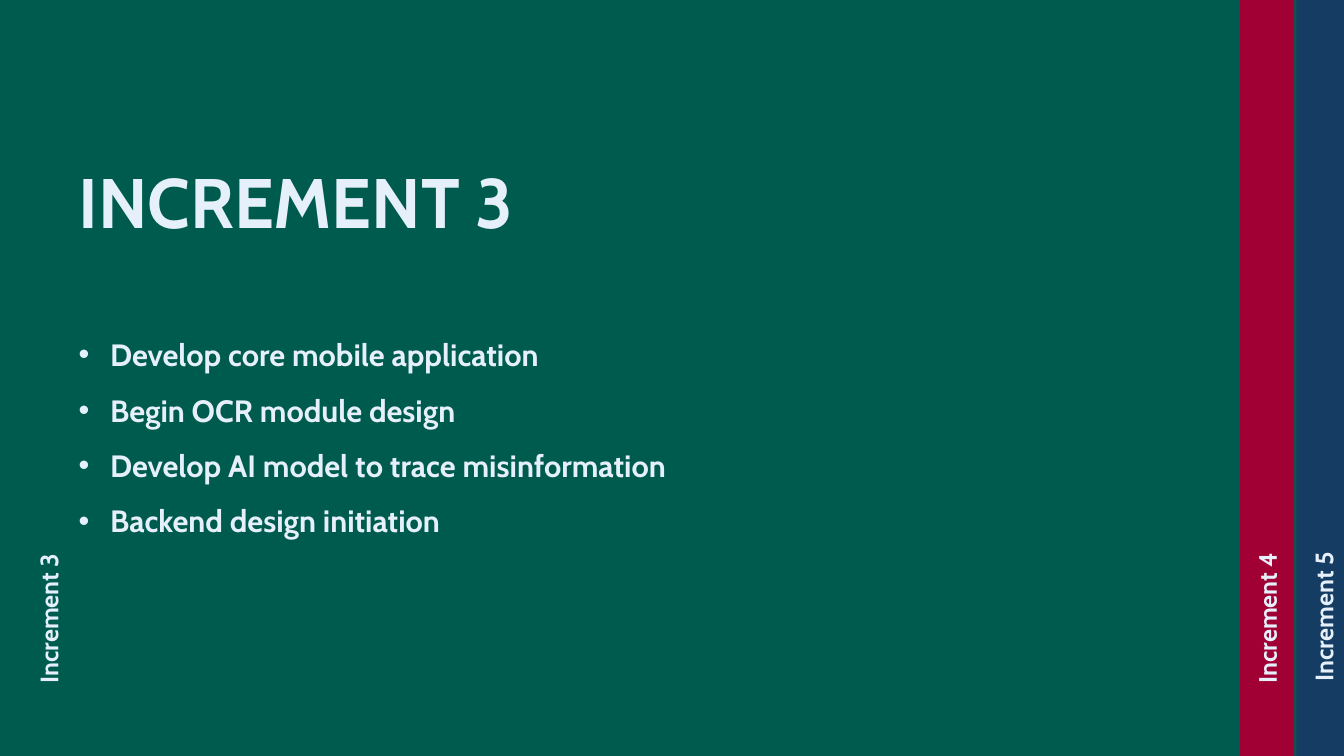
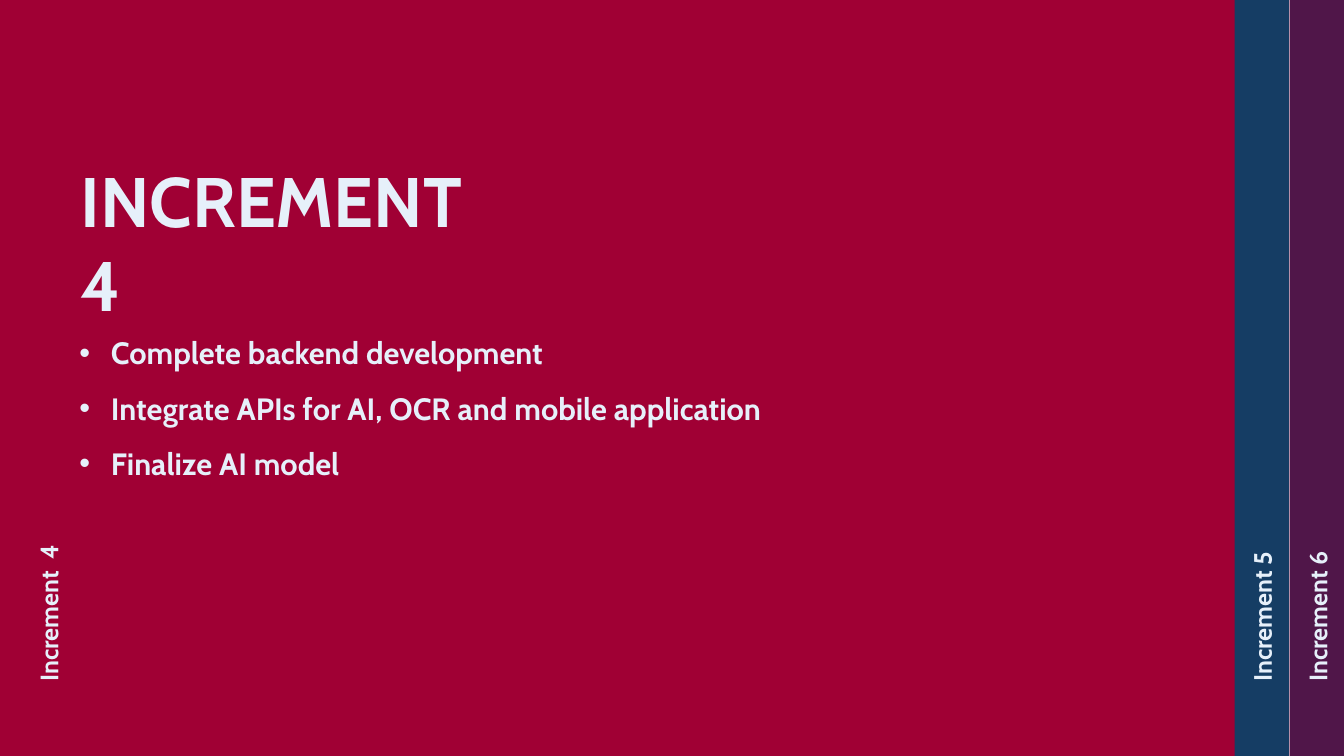
import pptx
import pptx.dml.color
import pptx.enum.shapes
import pptx.enum.text
import pptx.oxml
import pptx.oxml.ns
import pptx.util

Pt = pptx.util.Pt
RGBColor = pptx.dml.color.RGBColor

PALE = RGBColor(0xE9, 0xF3, 0xFB)
TEXT = RGBColor(0xE6, 0xF0, 0xFA)
GREEN = RGBColor(0x00, 0x5B, 0x4F)
RED = RGBColor(0xA0, 0x00, 0x34)
NAVY = RGBColor(0x15, 0x3D, 0x64)
PLUM = RGBColor(0x50, 0x16, 0x49)

FONT = "Cabin"
PAGE_WIDTH, PAGE_HEIGHT = 960, 540
BAND_WIDTH = 38.9
LABEL_LENGTH, LABEL_HEIGHT = 118, 29
MAIN_LABEL_CENTER = 34.7
BULLET_INDENT = 22.5

SLIDES = [
    {
        "color": GREEN,
        "panel_width": 927.4,
        "label": ("Increment 3", 495.2),
        "title": ("INCREMENT 3", (49, 109.4, 803, 68)),
        "bullets": (
            [
                "Develop core mobile application",
                "Begin OCR module design",
                "Develop AI model to trace misinformation",
                "Backend design initiation",
            ],
            (49, 223.2, 796, 163),
        ),
        "tabs": [
            ("Increment 4", RED, 885.6, 495.2),
            ("Increment 5", NAVY, 925.9, 493.9),
        ],
    },
    {
        "color": RED,
        "panel_width": 921,
        "label": ("Increment  4", 493.9),
        "title": ("INCREMENT 4", (50.4, 108.7, 318, 68)),
        "bullets": (
            [
                "Complete backend development",
                "Integrate APIs for AI, OCR and mobile application",
                "Finalize AI model",
            ],
            (49.7, 221.8, 804, 123),
        ),
        "tabs": [
            ("Increment 5", NAVY, 882, 493.9),
            ("Increment 6", PLUM, 921.6, 493.9),
        ],
    },
]


def add_band(page, color, left, width):
    band = page.shapes.add_shape(
        pptx.enum.shapes.MSO_SHAPE.RECTANGLE,
        Pt(left), Pt(0), Pt(width), Pt(PAGE_HEIGHT),
    )
    band.shadow.inherit = False
    band.fill.solid()
    band.fill.fore_color.rgb = color
    band.line.fill.background()


def set_bullet(para):
    properties = para._p.get_or_add_pPr()
    properties.set("marL", str(Pt(BULLET_INDENT)))
    properties.set("indent", str(-Pt(BULLET_INDENT)))
    namespace = pptx.oxml.ns.nsdecls("a")
    for markup in (
        f'<a:buFont {namespace} typeface="Arial"/>',
        f'<a:buChar {namespace} char="•"/>',
    ):
        properties.append(pptx.oxml.parse_xml(markup))


def add_text(page, lines, place, size, spacing=None, bullets=False, rotation=0):
    box = page.shapes.add_textbox(*map(Pt, place))
    box.rotation = rotation
    frame = box.text_frame
    frame.word_wrap = True
    for index, line in enumerate(lines):
        para = frame.add_paragraph() if index else frame.paragraphs[0]
        para.alignment = pptx.enum.text.PP_ALIGN.LEFT
        if spacing:
            para.line_spacing = spacing
        if bullets:
            set_bullet(para)
        span = para.add_run()
        span.text = line
        span.font.name = FONT
        span.font.size = Pt(size)
        span.font.bold = True
        span.font.color.rgb = TEXT


def add_label(page, text, center, bottom):
    left = center - LABEL_LENGTH / 2
    top = bottom - LABEL_LENGTH / 2 - LABEL_HEIGHT / 2
    place = (left, top, LABEL_LENGTH, LABEL_HEIGHT)
    add_text(page, [text], place, size=18, rotation=270)


def build_page(deck, content):
    page = deck.slides.add_slide(deck.slide_layouts[6])
    page.background.fill.solid()
    page.background.fill.fore_color.rgb = PALE
    add_band(page, content["color"], 0, content["panel_width"])

    label, bottom = content["label"]
    add_label(page, label, MAIN_LABEL_CENTER, bottom)
    title, place = content["title"]
    add_text(page, [title], place, size=50)
    lines, place = content["bullets"]
    add_text(page, lines, place, size=22, spacing=1.5, bullets=True)

    for label, color, left, bottom in content["tabs"]:
        add_band(page, color, left, min(BAND_WIDTH, PAGE_WIDTH - left))
        add_label(page, label, left + BAND_WIDTH / 2, bottom)


def main():
    deck = pptx.Presentation()
    deck.slide_width = Pt(PAGE_WIDTH)
    deck.slide_height = Pt(PAGE_HEIGHT)
    for content in SLIDES:
        build_page(deck, content)
    deck.save("out.pptx")


if __name__ == "__main__":
    main()
